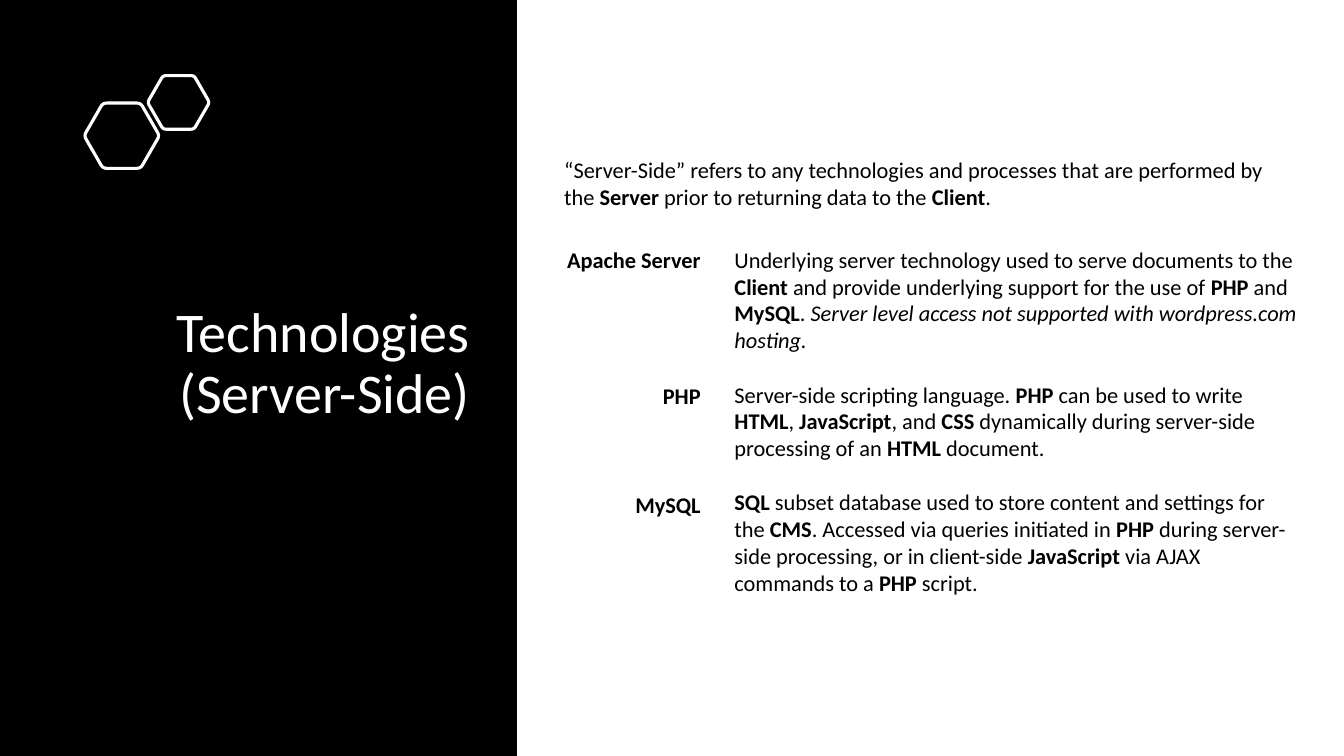
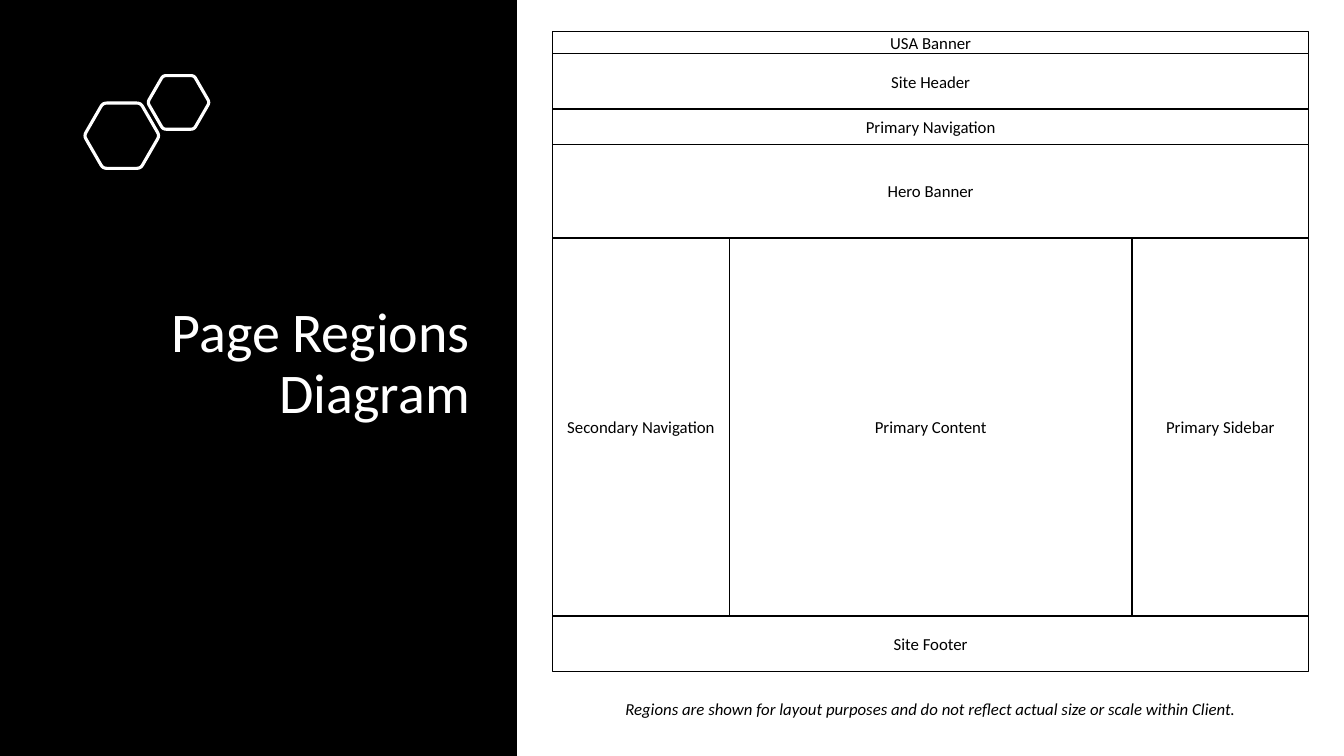
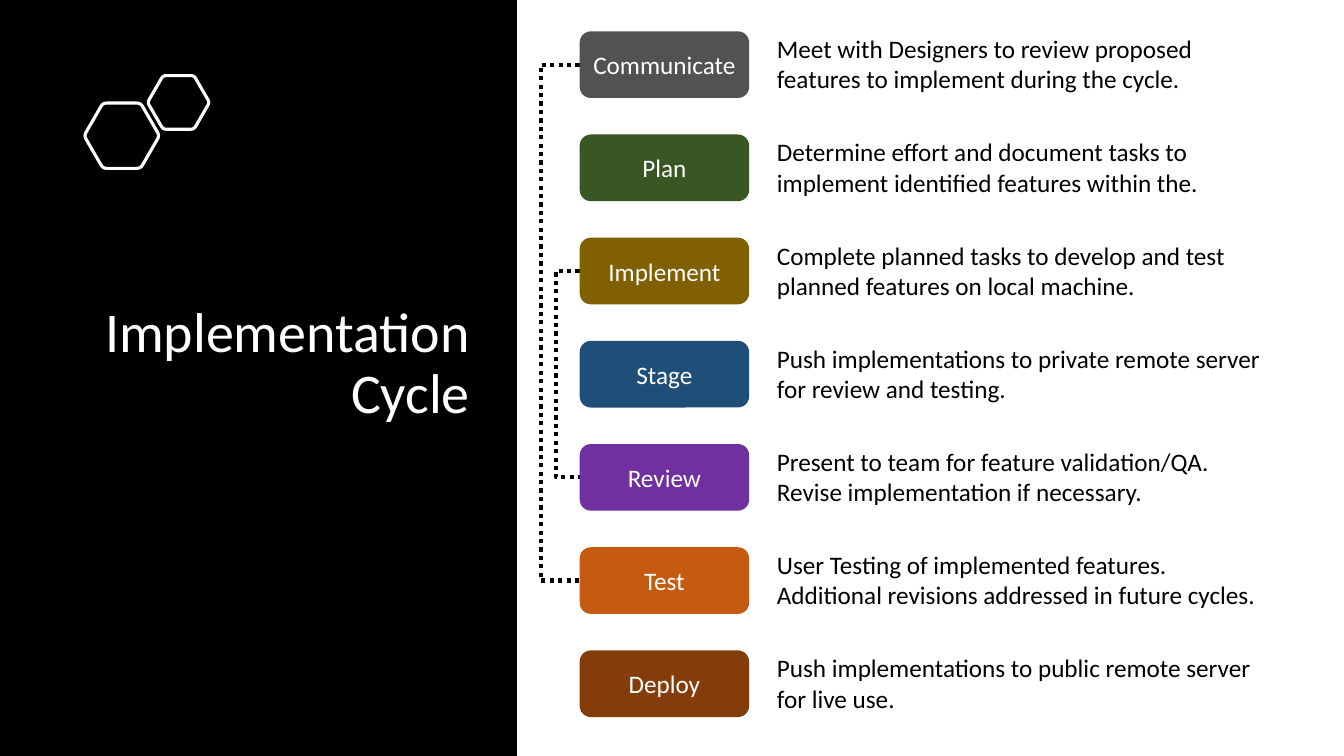
from math import cos, pi, sin

from lxml import etree
from pptx import Presentation
from pptx.dml.color import RGBColor
from pptx.enum.dml import MSO_LINE
from pptx.enum.shapes import MSO_CONNECTOR, MSO_SHAPE
from pptx.enum.text import MSO_ANCHOR, PP_ALIGN
from pptx.oxml.ns import qn
from pptx.util import Cm, Pt

LEFT, CENTER, RIGHT = PP_ALIGN.LEFT, PP_ALIGN.CENTER, PP_ALIGN.RIGHT
TOP, MIDDLE = MSO_ANCHOR.TOP, MSO_ANCHOR.MIDDLE
RECTANGLE, ROUNDED = MSO_SHAPE.RECTANGLE, MSO_SHAPE.ROUNDED_RECTANGLE
ELBOW, DOTTED = MSO_CONNECTOR.ELBOW, MSO_LINE.ROUND_DOT

FONT = "Calibri"
WIDTH, HEIGHT = 33.87, 19.05
COLORS = {
    "black": "000000", "white": "FFFFFF", "gray": "525252", "green": "385723",
    "olive": "806000", "blue": "1F4E79", "purple": "7030A0",
    "orange": "C55A11", "brown": "843C0B",
}


def color(name):
    return RGBColor.from_string(COLORS[name])


def styled_runs(text):
    """Split text into (words, bold, italic): *bold*, _italic_."""
    for i, part in enumerate(text.split("*")):
        for j, words in enumerate(part.split("_")):
            if words:
                yield words, i % 2 == 1, j % 2 == 1


class Deck:
    def __init__(self):
        self.presentation = Presentation()
        self.presentation.slide_width = Cm(WIDTH)
        self.presentation.slide_height = Cm(HEIGHT)
        self.slide = None

    def new_slide(self, title):
        """Start a slide with the black panel, the hexagons and a title."""
        layout = self.presentation.slide_layouts[6]
        self.slide = self.presentation.slides.add_slide(layout)
        self.box(0, 0, 13.03, HEIGHT, fill="black")
        self.hexagon(3.07, 3.42, 0.95)
        self.hexagon(4.5, 2.58, 0.78)
        self.text(2.13, 3.25, 9.96, 11.89, [title], size=40, ink="white",
                  align=RIGHT, anchor=MIDDLE, line_spacing=0.9)

    def fill_text(self, shape, texts, size, ink="black", align=LEFT, anchor=TOP,
                  line_spacing=None, gaps=(), wrap=True):
        """Fill a shape with paragraphs; gaps are points before the later ones."""
        frame = shape.text_frame
        frame.word_wrap = wrap
        frame.vertical_anchor = anchor
        for index, text in enumerate(texts):
            paragraph = frame.add_paragraph() if index else frame.paragraphs[0]
            paragraph.alignment = align
            paragraph.line_spacing = line_spacing
            if index and gaps:
                paragraph.space_before = Pt(gaps[index - 1])
            for number, line in enumerate(text.split("\n")):
                if number:
                    paragraph.add_line_break()
                for words, bold, italic in styled_runs(line):
                    run = paragraph.add_run()
                    run.text = words
                    values = {"name": FONT, "size": Pt(size), "bold": bold, "italic": italic}
                    for name, value in values.items():
                        setattr(run.font, name, value)
                    run.font.color.rgb = color(ink)

    def text(self, left, top, width, height, texts, size, **style):
        shape = self.slide.shapes.add_textbox(Cm(left), Cm(top), Cm(width), Cm(height))
        self.fill_text(shape, texts, size, **style)

    def box(self, left, top, width, height, label="", kind=RECTANGLE, fill="white",
            line=None, size=12, ink="black"):
        shape = self.slide.shapes.add_shape(kind, Cm(left), Cm(top), Cm(width), Cm(height))
        shape.shadow.inherit = False
        shape.fill.solid()
        shape.fill.fore_color.rgb = color(fill)
        if line:
            shape.line.color.rgb = color(line)
            shape.line.width = Pt(1)
        else:
            shape.line.fill.background()
        if label:
            self.fill_text(shape, [label], size, ink=ink, align=CENTER, anchor=MIDDLE)

    def hexagon(self, center_x, center_y, radius, cut=0.1, steps=4):
        """Outline a hexagon, each corner rounded by a quadratic curve."""
        corners = [(center_x + radius * cos(k * pi / 3), center_y + radius * sin(k * pi / 3))
                   for k in range(6)]
        points = []
        for k, corner in enumerate(corners):
            before, after = corners[k - 1], corners[(k + 1) % 6]
            for step in range(steps + 1):
                t = step / steps
                points.append(tuple(
                    Cm(c + cut * ((1 - t) ** 2 * (b - c) + t ** 2 * (a - c)))
                    for b, c, a in zip(before, corner, after)))
        builder = self.slide.shapes.build_freeform(*points[0], scale=1.0)
        builder.add_line_segments(points[1:], close=True)
        shape = builder.convert_to_shape()
        shape.shadow.inherit = False
        shape.fill.background()
        shape.line.color.rgb = color("white")
        shape.line.width = Pt(2.25)

    def loop(self, x, top, bottom, bus_x):
        """Join two heights at x by a dotted elbow that runs along bus_x."""
        run = 0.04
        connector = self.slide.shapes.add_connector(
            ELBOW, Cm(x), Cm(top), Cm(x + run), Cm(bottom))
        connector.line.color.rgb = color("black")
        connector.line.width = Pt(3)
        connector.line.dash_style = DOTTED
        properties = connector.element.spPr
        geometry = properties.find(qn("a:prstGeom"))
        guides = geometry.find(qn("a:avLst"))
        if guides is None:
            guides = etree.SubElement(geometry, qn("a:avLst"))
        bend = round((bus_x - x) / run * 100000)
        etree.SubElement(guides, qn("a:gd"), name="adj1", fmla=f"val {bend}")
        etree.SubElement(properties, qn("a:effectLst"))


def technologies(deck):
    deck.new_slide("Technologies\n(Server-Side)")
    line = 19.53  # height of one 16 pt line, in points
    deck.text(13.97, 3.81, 18.95, 1.63, [
        "“Server-Side” refers to any technologies and processes that are performed by "
        "the *Server* prior to returning data to the *Client*.",
    ], size=16)
    deck.text(18.26, 6.07, 14.68, 9.14, [
        "Underlying server technology used to serve documents to the *Client* and provide "
        "underlying support for the use of *PHP* and *MySQL*. "
        "_Server level access not supported with wordpress.com hosting._",
        "Server-side scripting language. *PHP* can be used to write *HTML*, *JavaScript*, "
        "and *CSS* dynamically during server-side processing of an *HTML* document.",
        "*SQL* subset database used to store content and settings for the *CMS*. Accessed "
        "via queries initiated in *PHP* during server-side processing, or in client-side "
        "*JavaScript* via AJAX commands to a *PHP* script.",
    ], size=16, gaps=(line, line))
    # Each term stands beside the first line of its description
    deck.text(13.97, 6.07, 3.94, 7.09, ["*Apache Server*", "*PHP*", "*MySQL*"],
              size=16, align=RIGHT, gaps=(4 * line, 3 * line), wrap=False)


def page_regions(deck):
    deck.new_slide("Page Regions\nDiagram")
    left, top, width = 13.93, 0.8, 19.05
    side = 4.45
    rows = [
        (0.55, [("USA Banner", width)]),
        (1.4, [("Site Header", width)]),
        (0.89, [("Primary Navigation", width)]),
        (2.36, [("Hero Banner", width)]),
        (9.52, [("Secondary Navigation", side), ("Primary Content", width - 2 * side),
                ("Primary Sidebar", side)]),
        (1.4, [("Site Footer", width)]),
    ]
    for row_height, regions in rows:
        x = left
        for name, region_width in regions:
            deck.box(x, top, region_width, row_height, name, line="black")
            x += region_width
        top += row_height
    deck.text(left, 17.48, width, 0.76, [
        "_Regions are shown for layout purposes and do not reflect actual size or scale "
        "within Client._",
    ], size=12, align=CENTER)


def implementation_cycle(deck):
    deck.new_slide("Implementation Cycle")
    left, first_top, pitch, height = 14.61, 0.79, 2.6, 1.68
    steps = [
        ("Communicate", "gray",
         "Meet with Designers to review proposed features to implement during the cycle."),
        ("Plan", "green",
         "Determine effort and document tasks to implement identified features within the."),
        ("Implement", "olive",
         "Complete planned tasks to develop and test planned features on local machine."),
        ("Stage", "blue",
         "Push implementations to private remote server for review and testing."),
        ("Review", "purple",
         "Present to team for feature validation/QA. Revise implementation if necessary."),
        ("Test", "orange",
         "User Testing of implemented features. Additional revisions addressed in future "
         "cycles."),
        ("Deploy", "brown",
         "Push implementations to public remote server for live use."),
    ]
    # Loops back: Review to Implement, Test to Communicate
    for start, end, bus_x in ((2, 4, 14.01), (0, 5, 13.63)):
        middle = first_top + height / 2
        deck.loop(left, middle + start * pitch, middle + end * pitch, bus_x)
    for index, (name, fill, description) in enumerate(steps):
        top = first_top + index * pitch
        deck.box(left, top, 4.27, height, name, kind=ROUNDED, fill=fill, size=18, ink="white")
        deck.text(19.33, top - 0.07, 13, 1.8, [description], size=18)


def main():
    deck = Deck()
    technologies(deck)
    page_regions(deck)
    implementation_cycle(deck)
    deck.presentation.save("out.pptx")


if __name__ == "__main__":
    main()
